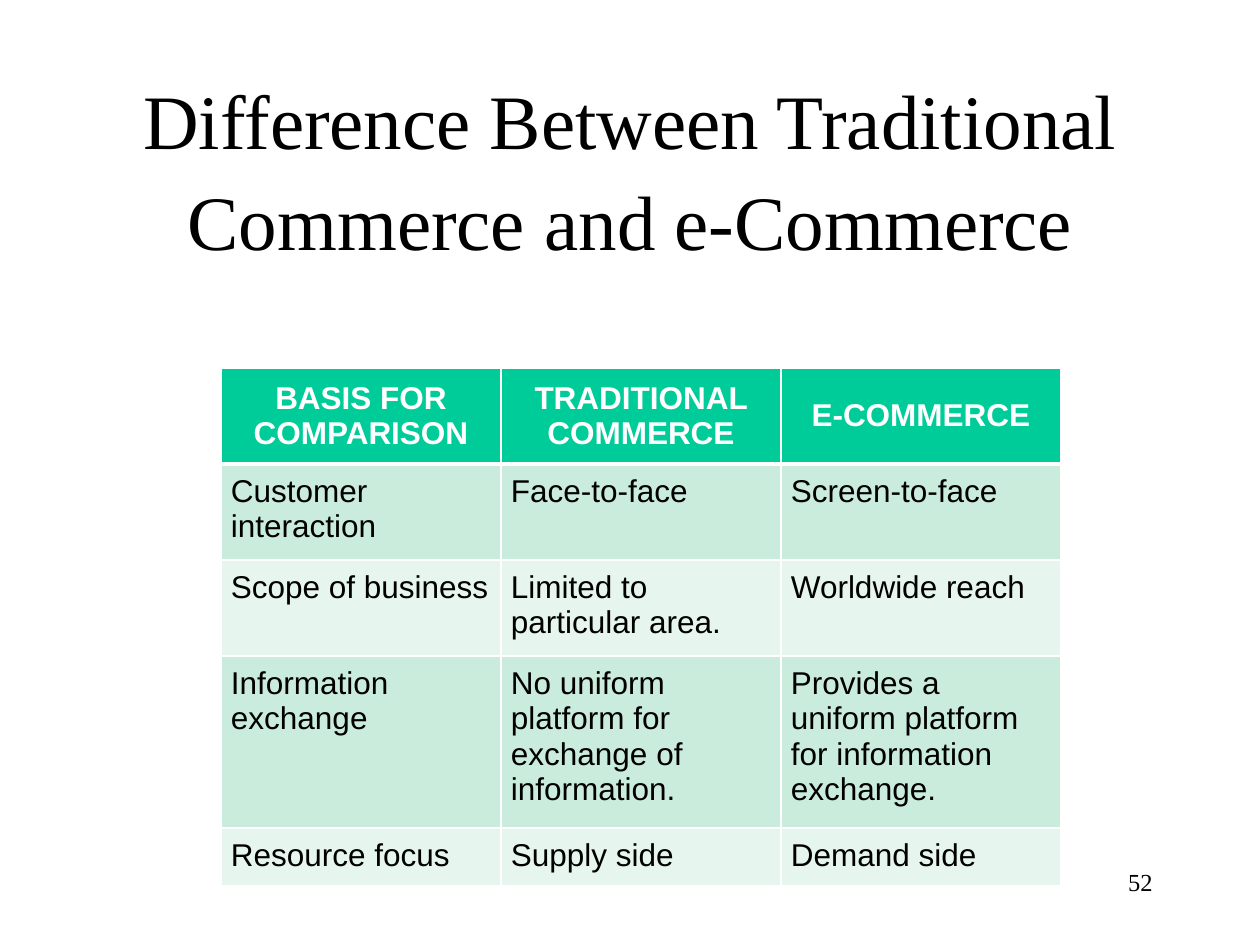
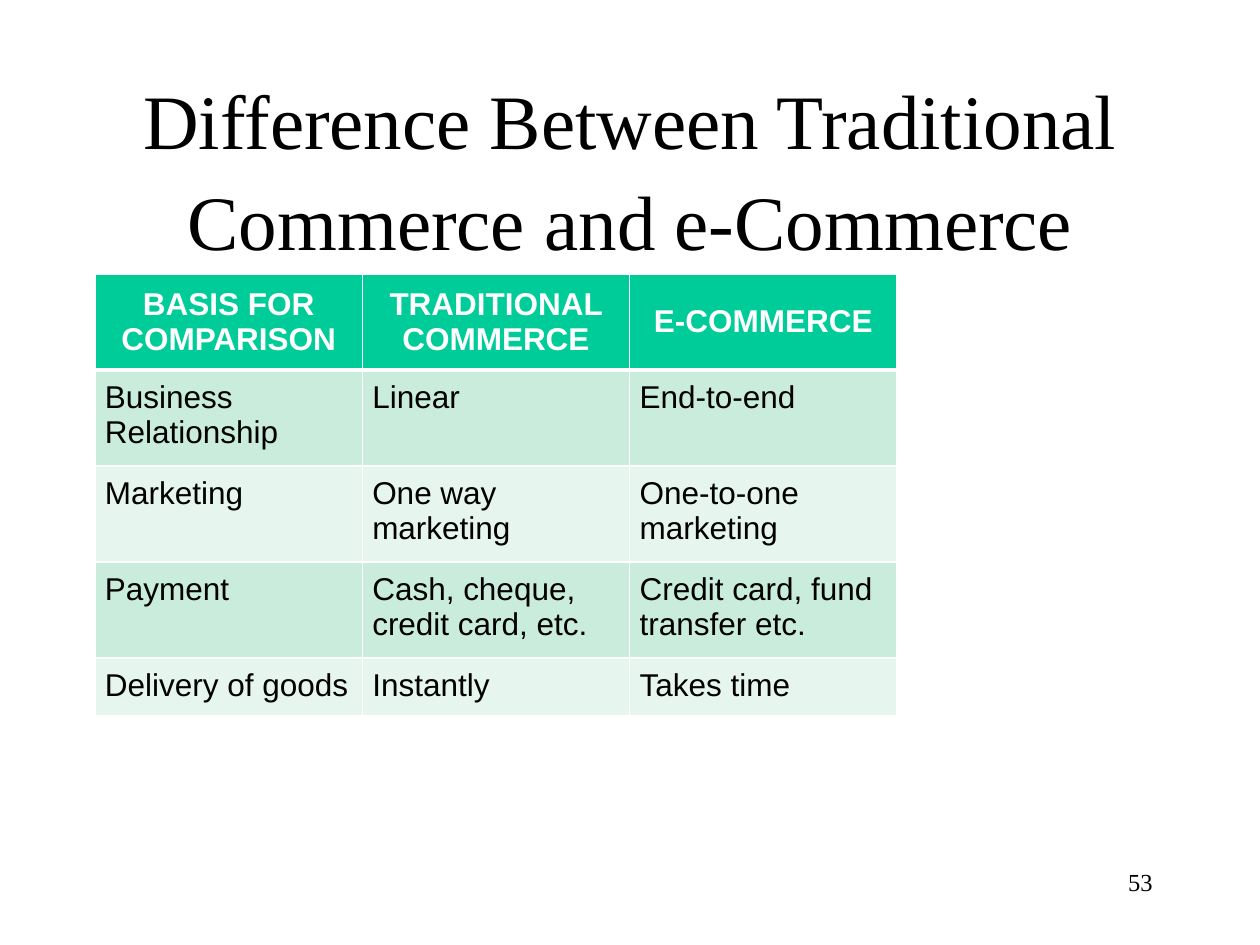
from lxml.etree import SubElement
from pptx import Presentation
from pptx.dml.color import RGBColor
from pptx.enum.text import MSO_ANCHOR, PP_ALIGN
from pptx.oxml.ns import qn
from pptx.util import Pt

PX = 914400 / 126
SERIF, SANS = "Times New Roman", "Arial"
BLACK, WHITE = "000000", "FFFFFF"
HEADER_FILL = "00CC99"
BAND_FILLS = ("CAECDD", "E6F6EF")
CELL_MARGIN = 10

TITLE = "Difference Between Traditional Commerce and e-Commerce"
HEADINGS = ("BASIS FOR COMPARISON", "TRADITIONAL COMMERCE", "E-COMMERCE")
COMPARISONS = [
    {
        "number": 52,
        "corner": (221, 368),
        "width": 840,
        "heights": (96, 96, 96, 172, 58),
        "rows": [
            ("Customer interaction", "Face-to-face", "Screen-to-face"),
            ("Scope of business", "Limited to particular area.", "Worldwide reach"),
            ("Information exchange",
             "No uniform platform for exchange of information.",
             "Provides a uniform platform for information exchange."),
            ("Resource focus", "Supply side", "Demand side"),
        ],
    },
    {
        "number": 53,
        "corner": (95, 274),
        "width": 802,
        "heights": (96, 96, 96, 96, 58),
        "rows": [
            ("Business Relationship", "Linear", "End-to-end"),
            ("Marketing", "One way marketing", "One-to-one marketing"),
            ("Payment", "Cash, cheque, credit card, etc.",
             "Credit card, fund transfer etc."),
            ("Delivery of goods", "Instantly", "Takes time"),
        ],
    },
]


def px(length):
    return round(length * PX)


def color(value):
    return RGBColor.from_string(value)


def write(frame, text, size=18, font=SANS, ink=BLACK, bold=False,
          align=PP_ALIGN.LEFT, spacing=None):
    frame.word_wrap = True
    paragraph = frame.paragraphs[0]
    paragraph.alignment = align
    paragraph.line_spacing = spacing
    run = paragraph.add_run()
    run.text = text
    run.font.size = Pt(size)
    run.font.name = font
    run.font.bold = bold
    run.font.color.rgb = color(ink)


def add_text(slide, box, text, anchor=MSO_ANCHOR.TOP, top_inset=6, **style):
    frame = slide.shapes.add_textbox(*map(px, box)).text_frame
    frame.vertical_anchor = anchor
    frame.margin_top = px(top_inset)
    write(frame, text, font=SERIF, **style)


def add_borders(cell, **widths):
    """Draw white borders; this must come before the cell's fill is set."""
    for side in "LRTB":
        line = SubElement(cell._tc.get_or_add_tcPr(), qn(f"a:ln{side}"),
                          w=str(Pt(widths.get(side, 1))))
        fill = SubElement(line, qn("a:solidFill"))
        SubElement(fill, qn("a:srgbClr"), val=WHITE)


def fill_cell(cell, text, row):
    cell.margin_left = cell.margin_right = px(CELL_MARGIN)
    cell.margin_top = cell.margin_bottom = px(CELL_MARGIN)
    if row == 0:
        cell.vertical_anchor = MSO_ANCHOR.MIDDLE
        add_borders(cell, B=3)
        background = HEADER_FILL
        write(cell.text_frame, text, ink=WHITE, bold=True, align=PP_ALIGN.CENTER)
    else:
        add_borders(cell, T=3 if row == 1 else 1)
        background = BAND_FILLS[(row - 1) % 2]
        write(cell.text_frame, text)
    cell.fill.solid()
    cell.fill.fore_color.rgb = color(background)


def add_comparison(slide, corner, width, heights, rows):
    box = (*corner, width, sum(heights))
    table = slide.shapes.add_table(len(heights), len(HEADINGS), *map(px, box)).table
    for column in table.columns:
        column.width = px(width / len(HEADINGS))
    for row, (height, texts) in enumerate(zip(heights, [HEADINGS, *rows])):
        table.rows[row].height = px(height)
        for column, text in enumerate(texts):
            fill_cell(table.cell(row, column), text, row)


def main():
    deck = Presentation()
    deck.slide_width, deck.slide_height = px(1260), px(945)
    for comparison in COMPARISONS:
        slide = deck.slides.add_slide(deck.slide_layouts[6])
        add_text(slide, (95, 84, 1071, 158), TITLE, size=44, spacing=1.09,
                 anchor=MSO_ANCHOR.MIDDLE, top_inset=10, align=PP_ALIGN.CENTER)
        add_comparison(slide, comparison["corner"], comparison["width"],
                       comparison["heights"], comparison["rows"])
        add_text(slide, (903, 861, 262, 63), str(comparison["number"]),
                 size=14, align=PP_ALIGN.RIGHT)
    deck.save("out.pptx")


if __name__ == "__main__":
    main()
